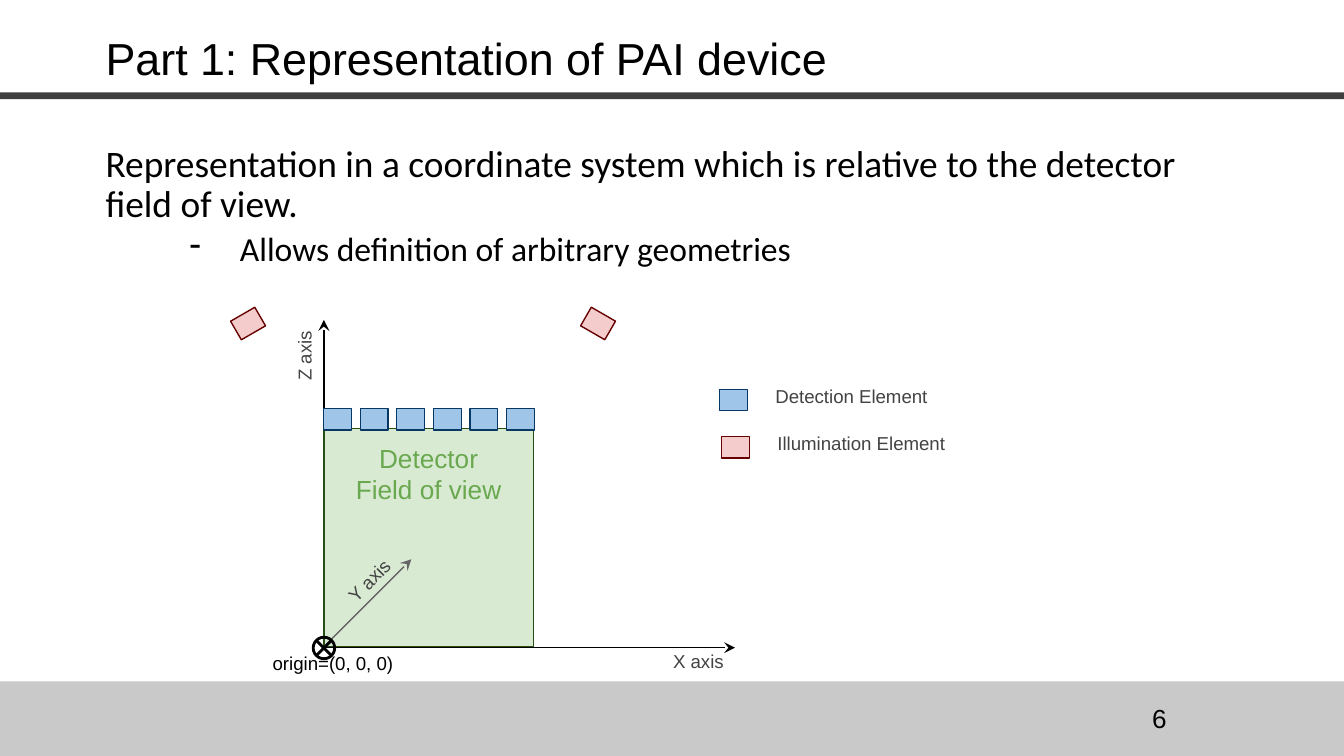
"""Build the slide that shows the coordinate system of a PAI device."""
import dataclasses

import pptx
import pptx.dml.color
import pptx.enum.shapes
import pptx.enum.text
import pptx.oxml.ns
import pptx.oxml.xmlchemy
import pptx.util
from lxml import etree

Pt = pptx.util.Pt
SHAPES = pptx.enum.shapes.MSO_SHAPE
ALIGN = pptx.enum.text.PP_ALIGN
ANCHOR = pptx.enum.text.MSO_ANCHOR
qualified = pptx.oxml.ns.qn


@dataclasses.dataclass(frozen=True)
class Theme:
    black: str = "000000"
    label: str = "434343"
    footer: str = "C9C9C9"
    rule: str = "3F3F3F"
    depth_axis: str = "666666"
    detection: tuple = ("9FC5E8", "073763")
    illumination: tuple = ("F4CCCC", "660000")
    field: tuple = ("D9EAD3", "274E13")
    field_text: str = "6AA84F"
    heading_font: str = "Arial"
    body_font: str = "Calibri"
    title_size: float = 24
    body_size: float = 20
    detail_size: float = 18
    medium_size: float = 14
    label_size: float = 10
    thin: float = 0.75
    thick: float = 1.5


THEME = Theme()
ELEMENT_SIZE = (15, 11.5)


def rgb(color):
    return pptx.dml.color.RGBColor.from_string(color)


def add_figure(slide, kind, box, fill=None, line=None, width=THEME.thin, rotation=0):
    shape = slide.shapes.add_shape(kind, *map(Pt, box))
    shape.shadow.inherit = False
    shape.rotation = rotation
    if fill:
        shape.fill.solid()
        shape.fill.fore_color.rgb = rgb(fill)
    else:
        shape.fill.background()
    if line:
        shape.line.color.rgb = rgb(line)
        shape.line.width = Pt(width)
    else:
        shape.line.fill.background()
    return shape


def add_element(slide, left, top, colors, rotation=0):
    add_figure(slide, SHAPES.RECTANGLE, (left, top, *ELEMENT_SIZE), *colors, rotation=rotation)


def add_arrow(slide, start, end, color):
    arrow = slide.shapes.add_connector(
        pptx.enum.shapes.MSO_CONNECTOR.STRAIGHT, *map(Pt, (*start, *end)))
    arrow.line.color.rgb = rgb(color)
    arrow.line.width = Pt(THEME.thin)
    properties = arrow._element.spPr
    outline = properties.find(qualified("a:ln"))
    etree.SubElement(outline, qualified("a:tailEnd"), type="stealth")
    etree.SubElement(properties, qualified("a:effectLst"))


def add_bullet(paragraph, character, left, indent, color):
    properties = paragraph._p.get_or_add_pPr()
    properties.set("marL", str(Pt(left)))
    properties.set("indent", str(Pt(indent)))
    bullet_color = etree.SubElement(properties, qualified("a:buClr"))
    etree.SubElement(bullet_color, qualified("a:srgbClr"), val=color)
    etree.SubElement(properties, qualified("a:buChar"), char=character)


def write_text(paragraph, text, size=THEME.label_size, color=THEME.label,
               font=THEME.heading_font, align=ALIGN.LEFT, spacing=None, before=None):
    run = paragraph.add_run()
    run.text = text
    run.font.size = Pt(size)
    run.font.name = font
    run.font.color.rgb = rgb(color)
    paragraph.alignment = align
    if spacing:
        paragraph.line_spacing = spacing
    if before:
        paragraph.space_before = Pt(before)


def prepare_frame(shape, vertical=7.2, anchor=ANCHOR.TOP):
    frame = shape.text_frame
    frame.word_wrap = True
    frame.vertical_anchor = anchor
    frame.margin_left = frame.margin_right = Pt(7.2)
    frame.margin_top = frame.margin_bottom = Pt(vertical)
    return frame


def add_text(slide, box, text, vertical=7.2, anchor=ANCHOR.TOP, rotation=0, **text_format):
    shape = slide.shapes.add_textbox(*map(Pt, box))
    shape.rotation = rotation
    frame = prepare_frame(shape, vertical, anchor)
    write_text(frame.paragraphs[0], text, **text_format)
    return frame


def add_page(slide):
    add_figure(slide, SHAPES.RECTANGLE, (0, 365, 720, 40), THEME.footer)
    add_figure(slide, SHAPES.RECTANGLE, (0, 49.5, 720, 3.6), THEME.rule)
    add_text(slide, (49.5, 16.5, 621, 32.4), "Part 1: Representation of PAI device",
             vertical=3.6, anchor=ANCHOR.MIDDLE, size=THEME.title_size,
             color=THEME.black, spacing=0.9)
    body = add_text(
        slide, (49.5, 74.2, 621, 85.7),
        "Representation in a coordinate system which is relative to the detector field of view.",
        vertical=3.6, size=THEME.body_size, color=THEME.black, font=THEME.body_font,
        spacing=0.9, before=7.5)
    detail = body.add_paragraph()
    detail.level = 1
    write_text(detail, "Allows definition of arbitrary geometries", size=THEME.detail_size,
               color=THEME.black, font=THEME.body_font, spacing=0.9, before=3.8)
    add_bullet(detail, "-", 72, -27, THEME.black)
    add_text(slide, (598.3, 373.9, 33.8, 22), "6", vertical=3.6, anchor=ANCHOR.MIDDLE,
             size=THEME.medium_size, color=THEME.black, align=ALIGN.RIGHT)


def add_coordinate_system(slide):
    origin = (173, 347)
    add_arrow(slide, (173.5, 347.5), (173.5, 171.4), THEME.black)
    add_arrow(slide, origin, (393.8, 347), THEME.black)
    field = add_figure(slide, SHAPES.RECTANGLE, (173.5, 229.7, 112.3, 116.8), *THEME.field)
    frame = prepare_frame(field)
    for index, text in enumerate(("Detector", "Field of view")):
        paragraph = frame.add_paragraph() if index else frame.paragraphs[0]
        write_text(paragraph, text, size=THEME.medium_size,
                   color=THEME.field_text, align=ALIGN.CENTER)
    add_arrow(slide, origin, (220.4, 299.6), THEME.depth_axis)
    for text, box, rotation in (
            ("X axis", (353.5, 342, 42.8, 42.5), 0),
            ("Z axis", (151.2, 168.7, 42, 42.5), 270),
            ("Y axis", (180.6, 288.7, 62, 42.5), 315)):
        add_text(slide, box, text, rotation=rotation)


def add_elements(slide):
    for text, colors, left, top in (
            ("Detection Element", THEME.detection, 385.3, 208.6),
            ("Illumination Element", THEME.illumination, 386.4, 233.9)):
        add_element(slide, left, top, colors)
        add_text(slide, (left + 23, top - 8.6, 116.6, 25.2), text)
    for index in range(6):
        add_element(slide, 173.4 + 19.58 * index, 219, THEME.detection)
    for left, rotation in ((125.4, 330), (312.9, 30)):
        add_element(slide, left, 167.6, THEME.illumination, rotation)


def add_origin(slide):
    add_text(slide, (139, 342.9, 81.4, 25.2), "origin=(0, 0, 0)", color=THEME.black)
    add_figure(slide, SHAPES.FLOWCHART_SUMMING_JUNCTION, (167.8, 341.4, 11.5, 11.5),
               line=THEME.black, width=THEME.thick)


def main():
    presentation = pptx.Presentation()
    presentation.slide_width, presentation.slide_height = Pt(720), Pt(405)
    slide = presentation.slides.add_slide(presentation.slide_layouts[6])
    add_page(slide)
    add_coordinate_system(slide)
    add_elements(slide)
    add_origin(slide)
    presentation.save("out.pptx")


main()
